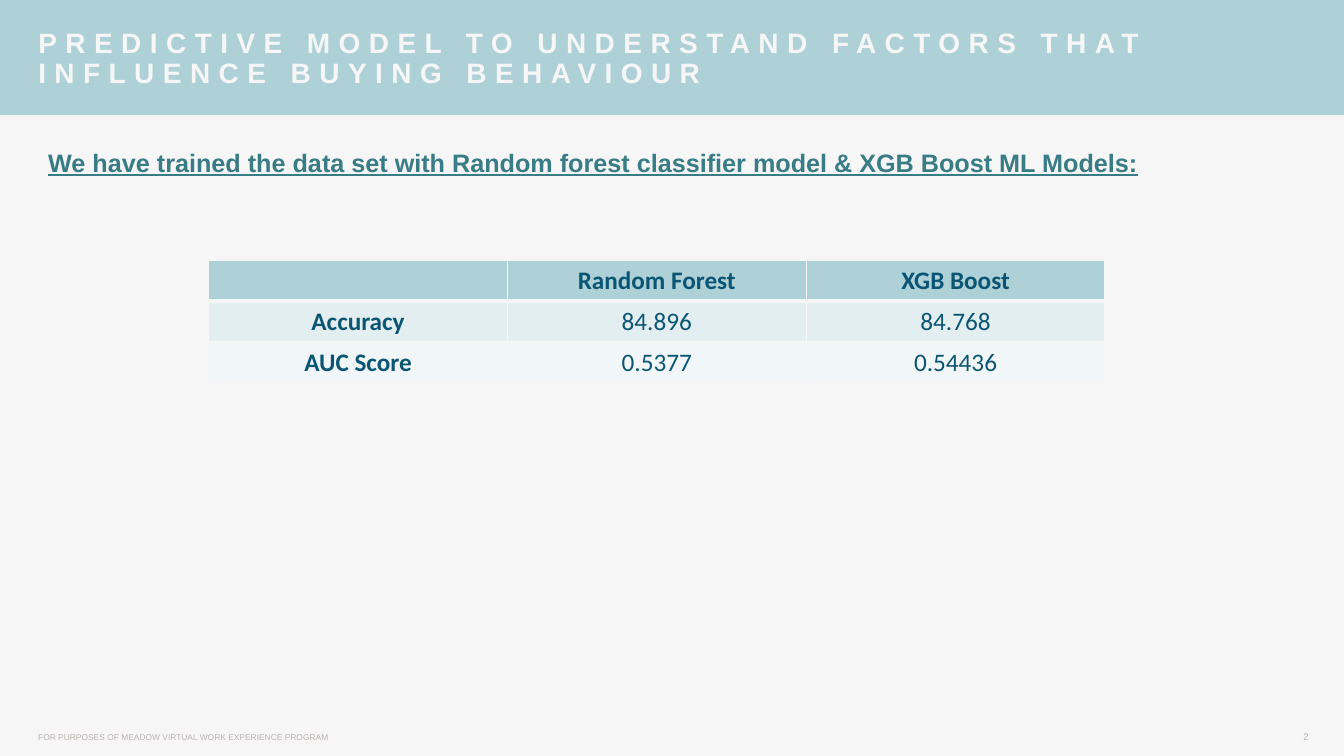
from dataclasses import dataclass

from lxml import etree
from pptx import Presentation
from pptx import util as u
from pptx.dml.color import RGBColor
from pptx.enum import shapes, text
from pptx.oxml.ns import qn


@dataclass(frozen=True)
class Theme:
    """Colours, fonts and type sizes."""
    paper: str = "F6F6F6"
    band: str = "ADD1D7"
    teal: str = "387C85"
    navy: str = "0B5574"
    grey: str = "BEB3B2"
    rows: tuple = ("ADD1D7", "E3EEF0", "F1F7F8")
    sans: str = "Arial"
    grid: str = "Calibri"
    title: int = 20
    body: int = 18
    page: int = 7
    foot: int = 6


class Deck:
    """Draws styled elements on the current slide."""

    def __init__(self, theme):
        self.theme = theme
        self.prs = Presentation()
        self.prs.slide_width = u.Inches(13.33)
        self.prs.slide_height = u.Inches(7.5)
        self.slide = self.prs.slides.add_slide(self.prs.slide_layouts[6])
        self.paint(self.slide.background.fill, theme.paper)

    def paint(self, fill, tint):
        """Give a fill one solid colour."""
        fill.solid()
        fill.fore_color.rgb = RGBColor.from_string(tint)

    def style(self, para, size, tint, face, bold=False, line=False):
        """Set the font of a paragraph."""
        font = para.font
        font.size, font.name = u.Pt(size), face
        font.bold, font.underline = bold, line
        font.color.rgb = RGBColor.from_string(tint)

    def band(self, *box):
        """Add a plain filled rectangle."""
        rect = self.slide.shapes.add_shape(
            shapes.MSO_SHAPE.RECTANGLE, *map(u.Inches, box))
        rect.shadow.inherit = False
        self.paint(rect.fill, self.theme.band)
        rect.line.fill.background()

    def label(self, words, box, size, tint, bold=False, line=False):
        """Add a text box and return its frame."""
        frame = self.slide.shapes.add_textbox(*map(u.Inches, box)).text_frame
        frame.word_wrap = True
        frame.text = words
        self.style(frame.paragraphs[0], size, tint, self.theme.sans, bold, line)
        return frame

    def title(self, words, box):
        """Add the letter-spaced heading."""
        frame = self.label(words, box, self.theme.title, self.theme.paper, True)
        frame.margin_left = frame.margin_right = 0
        frame.margin_top = frame.margin_bottom = 0
        frame.vertical_anchor = text.MSO_ANCHOR.MIDDLE
        para = frame.paragraphs[0]
        para.line_spacing = 0.9
        para.runs[0]._r.get_or_add_rPr().set("spc", "600")

    def edge(self, cell, head):
        """Draw cell borders, thicker below the head row."""
        props = cell._tc.get_or_add_tcPr()
        for spot, side in enumerate("LRTB"):
            thick = head and side == "B"
            line = etree.Element(qn(f"a:ln{side}"), w=str(u.Pt(3 if thick else 1)))
            fill = etree.SubElement(line, qn("a:solidFill"))
            etree.SubElement(fill, qn("a:srgbClr"), val=self.theme.paper)
            props.insert(spot, line)

    def table(self, data, box):
        """Add a table with even columns and rows."""
        grid = self.slide.shapes.add_table(
            len(data), len(data[0]), *map(u.Inches, box)).table
        for r, row in enumerate(data):
            for c, words in enumerate(row):
                cell = grid.cell(r, c)
                cell.text = words
                self.paint(cell.fill, self.theme.rows[r])
                self.edge(cell, r == 0)
                para = cell.text_frame.paragraphs[0]
                para.alignment = text.PP_ALIGN.CENTER
                self.style(para, self.theme.body, self.theme.navy,
                           self.theme.grid, r == 0 or c == 0)


def main():
    """Build and save the slide."""
    look = Theme()
    deck = Deck(look)
    deck.band(0, 0, 13.33, 1.14)
    deck.label("FOR PURPOSES OF MEADOW VIRTUAL WORK EXPERIENCE PROGRAM",
               (0.28, 7.21, 4.98, 0.2), look.foot, look.grey)
    page = deck.label("2", (12.3, 7.2, 0.78, 0.2), look.page, look.grey)
    page.paragraphs[0].alignment = text.PP_ALIGN.RIGHT
    deck.title("PREDICTIVE MODEL TO UNDERSTAND FACTORS THAT "
               "INFLUENCE BUYING BEHAVIOUR", (0.38, 0.35, 11.58, 0.48))
    lead = deck.label("We have trained the data set with Random forest "
                      "classifier model & XGB Boost ML Models:",
                      (0.38, 1.41, 11.76, 4.84), look.body, look.teal, True, True)
    lead.paragraphs[0].space_before = u.Pt(10)
    deck.table([("", "Random Forest", "XGB Boost"),
                ("Accuracy", "84.896", "84.768"),
                ("AUC Score", "0.5377", "0.54436")], (2.07, 2.58, 8.89, 1.22))
    deck.prs.save("out.pptx")


if __name__ == "__main__":
    main()
